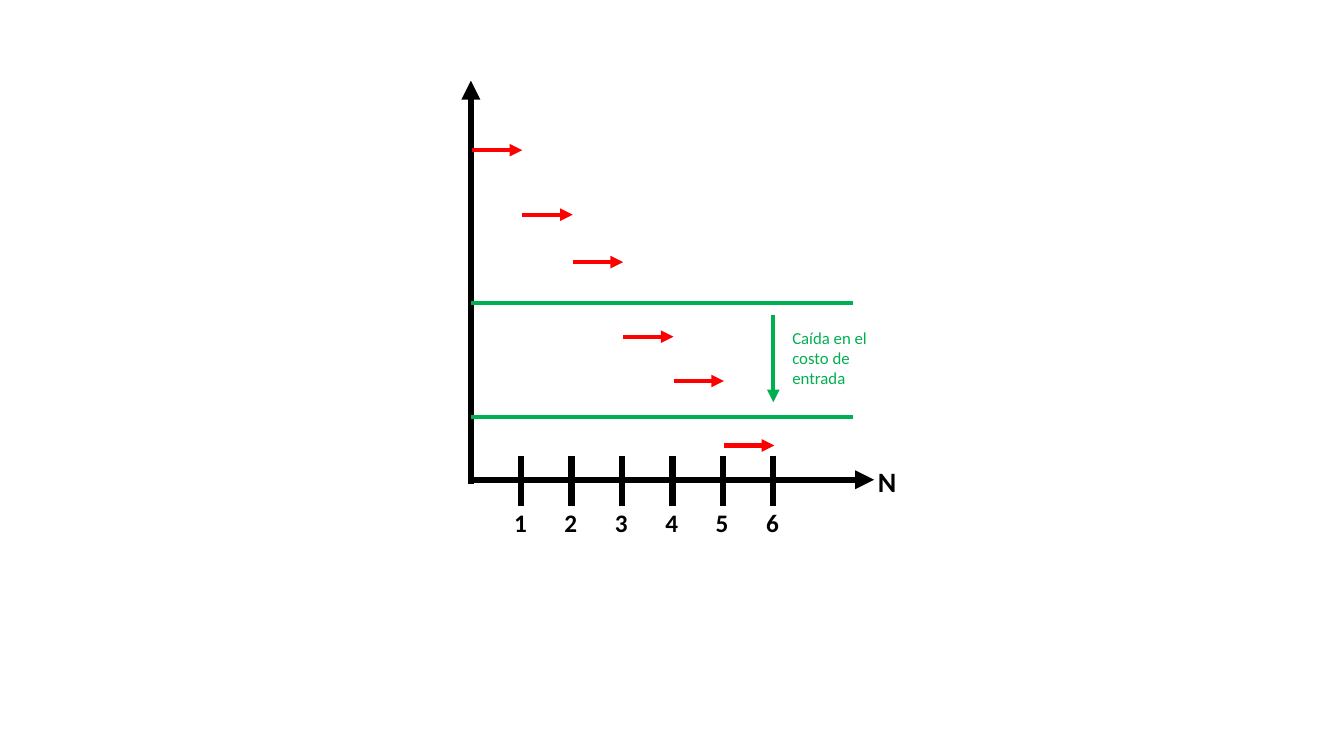
from dataclasses import dataclass

from lxml.etree import SubElement
from pptx import Presentation
from pptx.dml.color import RGBColor
from pptx.enum.shapes import MSO_CONNECTOR
from pptx.oxml.ns import qn
from pptx.util import Inches, Pt


@dataclass(frozen=True)
class Theme:
    font: str = "Calibri"
    ink: str = "000000"
    cost: str = "00B050"
    step: str = "FF0000"
    thick: float = 4.5
    thin: float = 3
    name: int = 20
    label: int = 18
    note: int = 12


@dataclass(frozen=True)
class Box:
    left: float
    top: float
    width: float
    height: float


THEME = Theme()
STEP = 0.5


def add_line(slide, start, end, color, width, arrow=False):
    line = slide.shapes.add_connector(
        MSO_CONNECTOR.STRAIGHT, *(Inches(v) for v in (*start, *end)))
    line.line.color.rgb = RGBColor.from_string(color)
    line.line.width = Pt(width)
    if arrow:
        SubElement(line.line._get_or_add_ln(), qn("a:tailEnd"), type="triangle")
    SubElement(line._element.spPr, qn("a:effectLst"))


def add_text(slide, text, box, size, color=THEME.ink, bold=False):
    shape = slide.shapes.add_textbox(
        *(Inches(v) for v in (box.left, box.top, box.width, box.height)))
    frame = shape.text_frame
    frame.word_wrap = True
    run = frame.paragraphs[0].add_run()
    run.text = text
    run.font.name = THEME.font
    run.font.size = Pt(size)
    run.font.bold = bold
    run.font.color.rgb = RGBColor.from_string(color)


def draw_axes(slide, box):
    base = box.top + box.height - 0.04
    add_line(slide, (box.left, base), (box.left + box.width, base),
             THEME.ink, THEME.thick, arrow=True)
    add_line(slide, (box.left, box.top + box.height), (box.left, box.top),
             THEME.ink, THEME.thick, arrow=True)
    for count in range(1, 7):
        x = box.left + count * STEP
        add_line(slide, (x, base - 0.24), (x, base + 0.26),
                 THEME.ink, THEME.thick)
        add_text(slide, str(count), Box(x - 0.17, base + 0.22, 0.46, 0.4),
                 THEME.label, bold=True)
    add_text(slide, "N", Box(box.left + box.width - 0.06, base - 0.2, 0.46, 0.44),
             THEME.name, bold=True)


def draw_costs(slide, box):
    for y in (box.top, box.top + box.height):
        add_line(slide, (box.left, y), (box.left + box.width, y),
                 THEME.cost, THEME.thin)
    x = box.left + 6 * STEP
    add_line(slide, (x, box.top + 0.12), (x, box.top + box.height - 0.15),
             THEME.cost, THEME.thin, arrow=True)
    add_text(slide, "Caída en el costo de entrada",
             Box(x + 0.09, box.top + 0.19, 1.3, 0.71),
             THEME.note, color=THEME.cost)


def draw_steps(slide, box):
    drops = (0.69, 1.33, 1.8, 2.54, 2.98, 3.62)
    for index, drop in enumerate(drops):
        x, y = box.left + 0.01 + index * STEP, box.top + drop
        add_line(slide, (x, y), (x + STEP, y),
                 THEME.step, THEME.thin, arrow=True)


def main():
    deck = Presentation()
    deck.slide_width, deck.slide_height = Inches(13.33), Inches(7.5)
    slide = deck.slides.add_slide(deck.slide_layouts[6])
    plot = Box(4.67, 0.8, 4, 4)
    draw_axes(slide, plot)
    draw_costs(slide, Box(plot.left, 3.01, 3.79, 1.13))
    draw_steps(slide, plot)
    deck.save("out.pptx")


if __name__ == "__main__":
    main()
